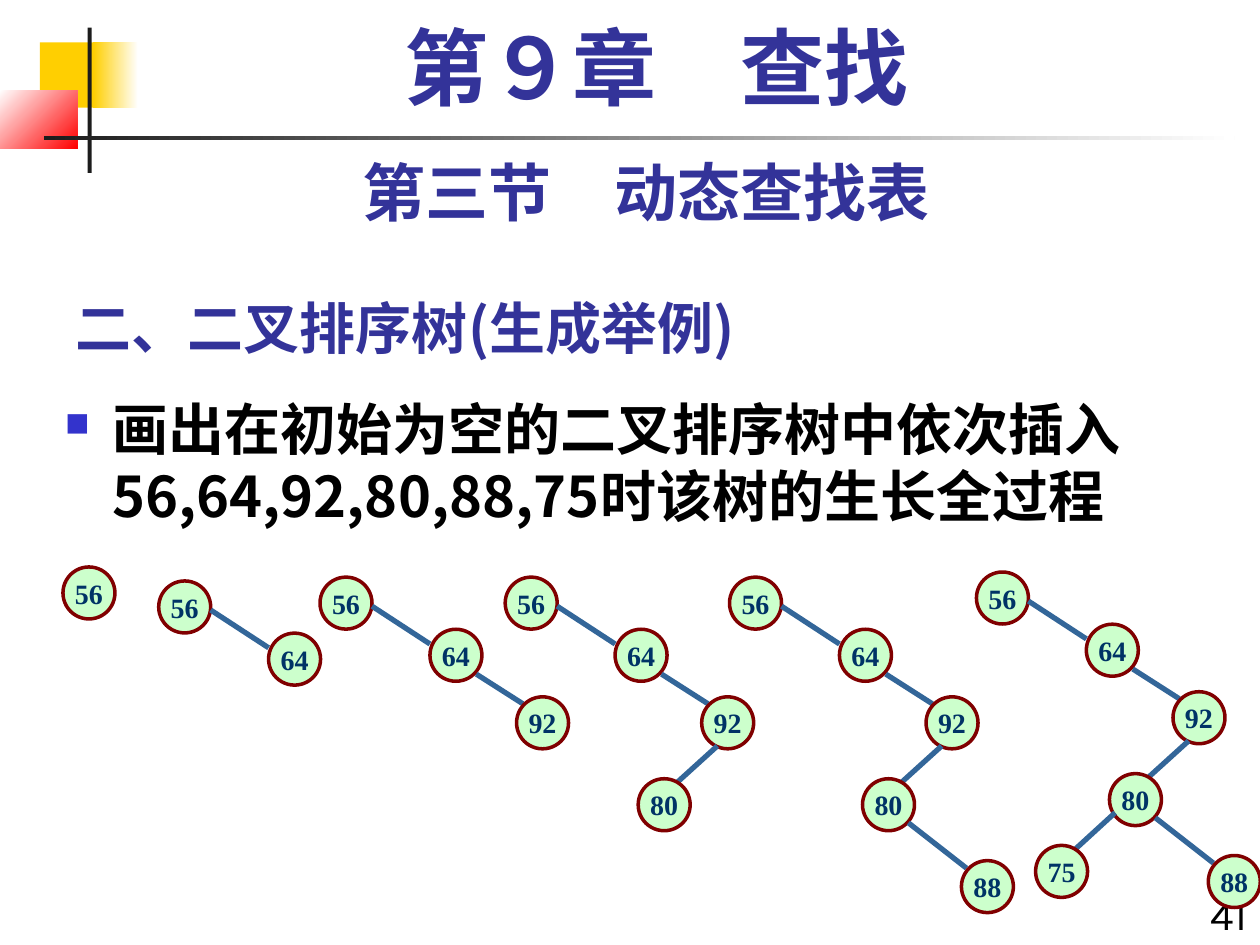
"""Build the slide that grows a binary search tree step by step."""
from dataclasses import dataclass

from lxml import etree
from pptx import Presentation
from pptx.dml.color import RGBColor
from pptx.enum.shapes import MSO_CONNECTOR, MSO_SHAPE
from pptx.enum.text import MSO_ANCHOR, MSO_AUTO_SIZE, PP_ALIGN
from pptx.oxml.ns import qn
from pptx.util import Pt

LEFT, CENTER, RIGHT = PP_ALIGN.LEFT, PP_ALIGN.CENTER, PP_ALIGN.RIGHT
TOP, MIDDLE, BOTTOM = MSO_ANCHOR.TOP, MSO_ANCHOR.MIDDLE, MSO_ANCHOR.BOTTOM
NO_AUTOFIT = MSO_AUTO_SIZE.NONE
RECTANGLE, OVAL = MSO_SHAPE.RECTANGLE, MSO_SHAPE.OVAL
STRAIGHT = MSO_CONNECTOR.STRAIGHT


@dataclass(frozen=True)
class Theme:
    heading: str = "333399"
    body: str = "000000"
    bullet: str = "3333CC"
    yellow: str = "FFCF01"
    red: str = "FF0000"
    white: str = "FFFFFF"
    dark: str = "1C1C1C"
    node_fill: str = "CCFFCC"
    node_line: str = "800000"
    node_text: str = "003366"
    edge: str = "336699"
    cjk: str = "Noto Sans CJK SC"
    sans: str = "Karla"
    serif: str = "Times New Roman"
    chapter_size: int = 48
    section_size: int = 36
    text_size: int = 32
    number_size: int = 24
    node_size: int = 16


@dataclass(frozen=True)
class Style:
    font: str
    size: int
    color: str
    bold: bool = True
    align: PP_ALIGN = LEFT
    anchor: MSO_ANCHOR = TOP
    wrap: bool = True


@dataclass(frozen=True)
class Bar:
    left: float
    top: float
    width: float
    height: float
    colors: tuple[str, ...]
    angle: int = 0


@dataclass(frozen=True)
class Node:
    """Key with its offset from the root and the edge from its parent."""
    key: int
    left: float
    top: float
    edge: tuple[float, ...] = ()


THEME = Theme()
DIAMETER = 29.7
BARS = (
    Bar(22.8, 24.2, 34.8, 37.4, (THEME.yellow,)),
    Bar(53.2, 24.2, 25.8, 37.4, (THEME.yellow, THEME.white)),
    Bar(0, 51.6, 44.3, 33.4, (THEME.white, THEME.red), 315),
    Bar(50, 15.8, 2.4, 83, (THEME.dark,)),
    Bar(25.2, 77.6, 680.4, 2.5, (THEME.dark, THEME.white)),
)
INSERTED = (
    Node(56, 0, 0),
    Node(64, 62.8, 29.8, (29.7, 16.6, 62.8, 38.2)),
    Node(92, 112.3, 68.4, (89.3, 55.4, 115.9, 72.4)),
    Node(80, 76, 115.2, (121.2, 96.5, 95.8, 119.5)),
    Node(88, 132.5, 162, (102.2, 140.4, 135.4, 166.3)),
    Node(75, 33.8, 156.2, (79.2, 137.5, 54, 160.6)),
)
ROOTS = ((36, 324), (90.7, 332), (182.9, 329.8),
         (288.7, 329.8), (416.9, 329.8), (558, 326.9))


def color(value: str) -> RGBColor:
    """Return the colour for a hex value."""
    return RGBColor.from_string(value)


def write(shape, text: str, style: Style) -> None:
    """Set and format the single paragraph of a shape."""
    frame = shape.text_frame
    frame.text = text
    frame.word_wrap = style.wrap
    frame.auto_size = NO_AUTOFIT
    frame.vertical_anchor = style.anchor
    para = frame.paragraphs[0]
    para.alignment = style.align
    para.space_before = Pt(0)
    for span in para.runs:
        span.font.name = style.font
        span.font.size = Pt(style.size)
        span.font.bold = style.bold
        span.font.color.rgb = color(style.color)
        east_asian = etree.SubElement(span.font._element, qn("a:ea"))
        east_asian.set("typeface", THEME.cjk)


def add_text(page, box: tuple[float, ...], text: str, style: Style):
    """Add a text box and return it."""
    shape = page.shapes.add_textbox(*map(Pt, box))
    write(shape, text, style)
    return shape


def add_bullet(para) -> None:
    """Give a paragraph a hanging square bullet."""
    properties = para._p.get_or_add_pPr()
    properties.set("marL", str(Pt(27)))
    properties.set("indent", str(-Pt(27)))
    tint = etree.SubElement(properties, qn("a:buClr"))
    etree.SubElement(tint, qn("a:srgbClr")).set("val", THEME.bullet)
    etree.SubElement(properties, qn("a:buSzPct")).set("val", "60000")
    etree.SubElement(properties, qn("a:buChar")).set("char", "■")


def add_bar(page, bar: Bar) -> None:
    """Draw one plain or gradient block of the decoration."""
    shape = page.shapes.add_shape(
        RECTANGLE, Pt(bar.left), Pt(bar.top), Pt(bar.width), Pt(bar.height))
    shape.shadow.inherit = False
    shape.line.fill.background()
    if len(bar.colors) == 1:
        shape.fill.solid()
        shape.fill.fore_color.rgb = color(bar.colors[0])
        return
    shape.fill.gradient()
    shape.fill.gradient_angle = bar.angle
    for stop, value in zip(shape.fill.gradient_stops, bar.colors):
        stop.color.rgb = color(value)


def add_edge(page, left: float, top: float, edge: tuple[float, ...]) -> None:
    """Draw the line from a parent to its child."""
    x1, y1, x2, y2 = edge
    line = page.shapes.add_connector(
        STRAIGHT, Pt(left + x1), Pt(top + y1), Pt(left + x2), Pt(top + y2))
    line.line.color.rgb = color(THEME.edge)
    line.line.width = Pt(3)
    etree.SubElement(line._element.spPr, qn("a:effectLst"))


def add_tree(page, left: float, top: float, nodes: tuple[Node, ...]) -> None:
    """Draw a tree with its root at the given place."""
    style = Style(THEME.serif, THEME.node_size, THEME.node_text,
                  align=CENTER, anchor=MIDDLE, wrap=False)
    for node in nodes:
        if node.edge:
            add_edge(page, left, top, node.edge)
        circle = page.shapes.add_shape(
            OVAL, Pt(left + node.left), Pt(top + node.top),
            Pt(DIAMETER), Pt(DIAMETER))
        circle.shadow.inherit = False
        circle.fill.solid()
        circle.fill.fore_color.rgb = color(THEME.node_fill)
        circle.line.color.rgb = color(THEME.node_line)
        circle.line.width = Pt(2)
        write(circle, str(node.key), style)


def main() -> None:
    """Build and save the deck."""
    deck = Presentation()
    deck.slide_width, deck.slide_height = Pt(720), Pt(540)
    page = deck.slides.add_slide(deck.slide_layouts[5])
    for bar in BARS:
        add_bar(page, bar)

    title = page.shapes.title
    title.left, title.top, title.width, title.height = map(Pt, (36, 156, 450, 54))
    write(title, "二、二叉排序树(生成举例)",
          Style(THEME.cjk, THEME.text_size, THEME.heading, anchor=BOTTOM))

    add_text(page, (672, 504, 48, 42), "41",
             Style(THEME.sans, THEME.number_size, THEME.body, False, RIGHT))
    add_text(page, (36, 84, 666, 50), "第三节　动态查找表",
             Style(THEME.sans, THEME.section_size, THEME.heading, align=CENTER))
    body = add_text(
        page, (30, 222, 690, 318),
        "画出在初始为空的二叉排序树中依次插入56,64,92,80,88,75时该树的生长全过程",
        Style(THEME.cjk, THEME.text_size, THEME.body))
    add_bullet(body.text_frame.paragraphs[0])
    chapter = add_text(
        page, (48, 12, 654, 60), "第９章　查找",
        Style(THEME.serif, THEME.chapter_size, THEME.heading, align=CENTER))
    chapter.text_frame.paragraphs[0].line_spacing = 0.9

    for count, (left, top) in enumerate(ROOTS, start=1):
        add_tree(page, left, top, INSERTED[:count])
    deck.save("out.pptx")


if __name__ == "__main__":
    main()
